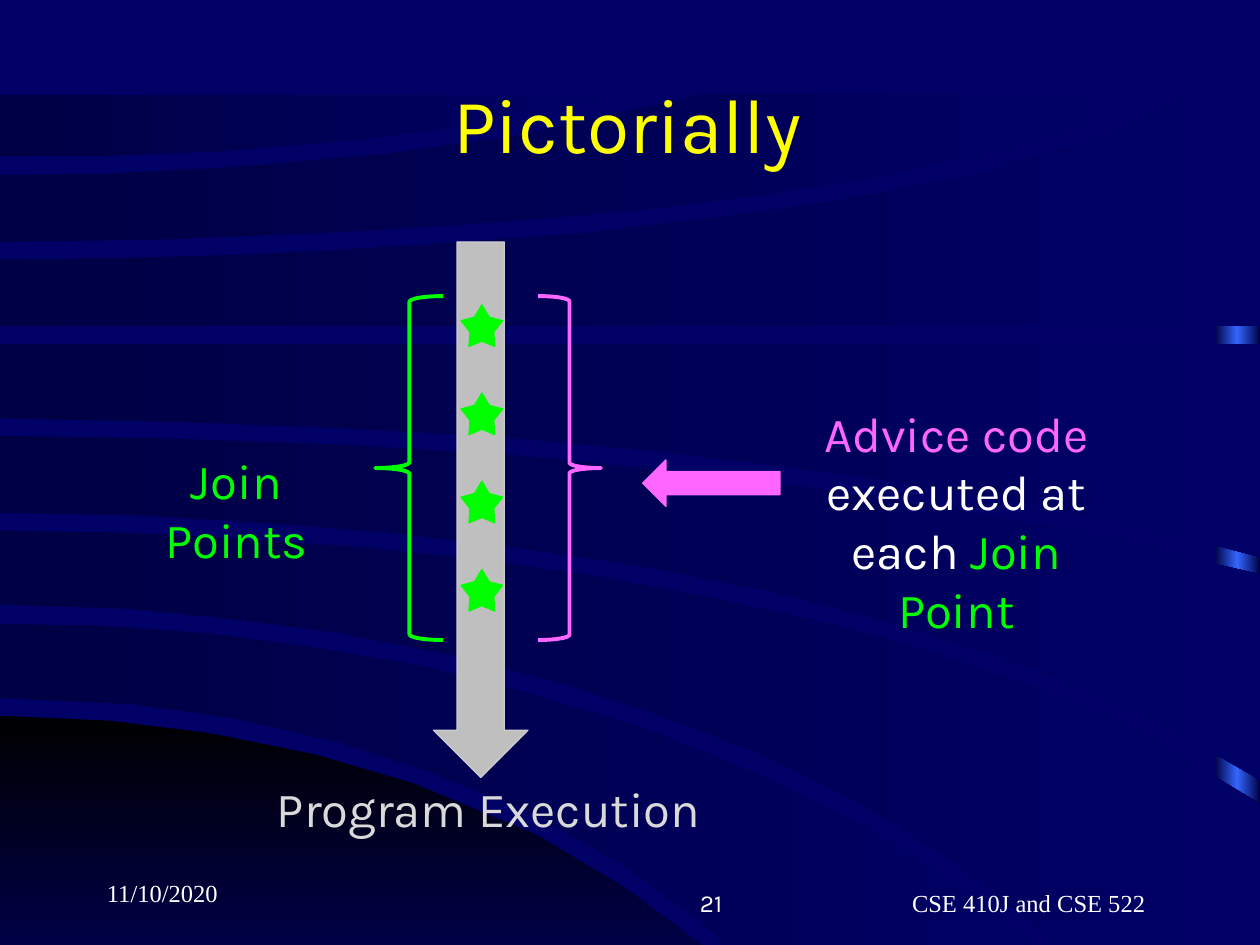
from copy import deepcopy
from dataclasses import dataclass

from pptx import Presentation
from pptx import util as u
from pptx.dml.color import RGBColor
from pptx.enum import shapes, text
from pptx.oxml.ns import qn

MSO = shapes.MSO_SHAPE
ALIGN = text.PP_ALIGN
ANCHOR = text.MSO_ANCHOR


@dataclass(frozen=True)
class Theme:
    back: str = "000066"
    band: str = "000044"
    glow: str = "3366FF"
    black: str = "000000"
    title: str = "FFFF00"
    white: str = "FFFFFF"
    join: str = "00FF00"
    advice: str = "FF66FF"
    flow: str = "BFBFBF"
    flow_edge: str = "CCCCD4"
    flow_label: str = "D9D9D9"
    font: str = "Karla"
    footer_font: str = "Times New Roman"
    title_size: int = 44
    label_size: int = 28
    footer_size: int = 14


T = Theme()

# Upper and lower edge of each background band, in inches.
BANDS = [
    ([(0, 4.95), (0.88, 4.97), (1.67, 5.03), (2.5, 5.14), (3.36, 5.29), (4.29, 5.53),
      (5.16, 5.8), (6.07, 6.17), (6.89, 6.58), (7.67, 7.07), (8.34, 7.62), (8.94, 8.25)],
     [(0, 5.54), (1.06, 5.59), (1.86, 5.7), (2.69, 5.89), (3.43, 6.13), (4.17, 6.43),
      (4.93, 6.85), (5.54, 7.29), (6.05, 7.78), (6.43, 8.25)]),
    ([(0, 4.21), (0.98, 4.23), (1.96, 4.28), (2.9, 4.35), (3.85, 4.45), (4.76, 4.58),
      (5.71, 4.76), (6.57, 4.95), (7.39, 5.17), (8.19, 5.45), (9.05, 5.81), (10, 6.38)],
     [(0, 4.8), (0.98, 4.83), (1.84, 4.91), (2.68, 5.02), (3.61, 5.2), (4.43, 5.41),
      (5.22, 5.67), (5.98, 5.96), (6.79, 6.35), (7.57, 6.83), (8.39, 7.47), (9.1, 8.25),
      (10, 8.25)]),
    ([(0, 3.46), (1.25, 3.48), (2.66, 3.53), (4.01, 3.61), (5.24, 3.73), (6.63, 3.9),
      (7.69, 4.07), (8.6, 4.23), (10, 4.56)],
     [(0, 4.07), (1.1, 4.09), (2.12, 4.15), (3.04, 4.22), (4.07, 4.34), (5.14, 4.5),
      (6.11, 4.69), (7.12, 4.95), (8.18, 5.29), (9.14, 5.69), (10, 6.19)]),
    ([(0, 2.73), (10, 2.73)],
     [(0, 3.32), (1.48, 3.35), (2.79, 3.4), (3.9, 3.46), (5.03, 3.56), (6.08, 3.68),
      (7.03, 3.81), (8.14, 3.99), (9.16, 4.2), (10, 4.42)]),
    ([(0, 2.06), (0.94, 2.05), (2.04, 2.02), (3.3, 1.95), (4.66, 1.85), (5.98, 1.69),
      (6.85, 1.56), (7.72, 1.39), (8.36, 1.21), (8.93, 1.03), (9.44, 0.75), (10, 0.75)],
     [(0, 2.59), (10, 2.59)]),
    ([(0, 1.39), (0.88, 1.38), (1.98, 1.32), (3.09, 1.22), (4.17, 1.07), (5.57, 0.75),
      (9.18, 0.75)],
     [(0, 1.92), (1.27, 1.9), (2.71, 1.84), (3.82, 1.77), (5.05, 1.67), (6.15, 1.53),
      (7.16, 1.36), (8.03, 1.16), (8.84, 0.91), (9.18, 0.75)]),
    ([(0, 0.75), (5.02, 0.75)],
     [(0, 1.24), (0.68, 1.24), (1.74, 1.2), (2.9, 1.1), (4.01, 0.95), (5.02, 0.75)]),
]
CORNER = [(0, 5.68), (0.87, 5.72), (1.66, 5.82), (2.5, 5.99), (3.28, 6.22), (4.26, 6.63),
          (4.96, 7.05), (5.54, 7.48), (5.97, 7.9), (6.29, 8.27)]


def rgb(value):
    return RGBColor.from_string(value)


def inches(*lengths):
    return [u.Inches(n) for n in lengths]


def shade(sp, colors, angle=0):
    """Fill a shape with evenly spaced gradient stops and no outline."""
    sp.shadow.inherit = False
    sp.line.fill.background()
    sp.fill.gradient()
    sp.fill.gradient_angle = angle
    stops = sp._element.spPr.find(qn("a:gradFill")).find(qn("a:gsLst"))
    for _ in colors[2:]:
        stops.append(deepcopy(stops[0]))
    for i, (stop, color) in enumerate(zip(sp.fill.gradient_stops, colors)):
        stop.position = i / (len(colors) - 1)
        stop.color.rgb = rgb(color)


def add_outline(parent, points):
    (x, y), *rest = [inches(*point) for point in points]
    builder = parent.shapes.build_freeform(x, y)
    builder.add_line_segments(rest, close=True)
    return builder.convert_to_shape()


def add_backdrop(slide):
    group = slide.shapes.add_group_shape()
    strip = group.shapes.add_shape(MSO.RECTANGLE, *inches(9.64, 0.77, 0.36, 6.73))
    shade(strip, [T.band, T.glow, T.band])
    shade(add_outline(group, CORNER + [(0, 8.27)]), [T.black, T.back], 270)
    for upper, lower in BANDS:
        shade(add_outline(group, upper + lower[::-1]), [T.band, T.back])
    slide.shapes._spTree.insert(2, group._element)


def write(tf, lines, color=T.white, size=T.label_size, font=T.font,
          align=ALIGN.LEFT, anchor=ANCHOR.TOP):
    """Write lines, each a list of (text, color) runs or a plain string."""
    tf.word_wrap = True
    tf.auto_size = text.MSO_AUTO_SIZE.NONE
    tf.vertical_anchor = anchor
    for i, line in enumerate(lines):
        p = tf.add_paragraph() if i else tf.paragraphs[0]
        p.alignment = align
        for words, run_color in [(line, color)] if isinstance(line, str) else line:
            r = p.add_run()
            r.text = words
            r.font.name = font
            r.font.size = u.Pt(size)
            r.font.color.rgb = rgb(run_color)


def add_text(slide, box, lines, **fmt):
    write(slide.shapes.add_textbox(*inches(*box)).text_frame, lines, **fmt)


def add_figure(slide, kind, box, fill=None, line=None, width=0.75):
    sp = slide.shapes.add_shape(kind, *inches(*box))
    sp.shadow.inherit = False
    if fill:
        sp.fill.solid()
        sp.fill.fore_color.rgb = rgb(fill)
    else:
        sp.fill.background()
    sp.line.color.rgb = rgb(line or fill)
    sp.line.width = u.Pt(width)
    return sp


def add_title(slide, box, words):
    title = slide.shapes.title
    title.left, title.top, title.width, title.height = inches(*box)
    write(title.text_frame, [words], color=T.title, size=T.title_size,
          align=ALIGN.CENTER, anchor=ANCHOR.MIDDLE)


def add_footer(slide, left, top):
    fmt = dict(size=T.footer_size, anchor=ANCHOR.BOTTOM)
    add_text(slide, (left, top, 2.08, 0.5), ["11/10/2020"], font=T.footer_font, **fmt)
    add_text(slide, (left + 5.83, top + 0.08, 3.17, 0.5), ["CSE 410J and CSE 522"],
             font=T.footer_font, align=ALIGN.CENTER, **fmt)
    add_text(slide, (left + 3, top + 0.08, 2.08, 0.5), ["21"], align=ALIGN.RIGHT, **fmt)


def add_execution(slide, left, top):
    """Draw the program flow with its join points."""
    add_figure(slide, MSO.DOWN_ARROW, (left, top, 0.75, 4.25), T.flow, T.flow_edge)
    for i in range(4):
        star = add_figure(slide, MSO.STAR_5_POINT,
                          (left + 0.22, top + 0.5 + 0.7 * i, 0.33, 0.33), T.join)
        star.adjustments[0] = 0.287
    add_text(slide, (left - 1.34, top + 4.21, 3.83, 0.57), ["Program Execution"],
             color=T.flow_label)


def add_join_points(slide, left, top):
    add_figure(slide, MSO.LEFT_BRACE, (left + 2.13, top, 0.54, 2.73), line=T.join, width=2.25)
    add_text(slide, (left, top + 1.18, 2.05, 1.04), ["Join Points"], color=T.join,
             align=ALIGN.CENTER)


def add_advice(slide, left, top):
    add_figure(slide, MSO.RIGHT_BRACE, (left, top, 0.5, 2.73), line=T.advice, width=2.25)
    add_figure(slide, MSO.LEFT_ARROW, (left + 0.83, top + 1.3, 1.09, 0.37), T.advice)
    add_text(slide, (left + 1.91, top + 0.8, 2.82, 1.97),
             [[("Advice code", T.advice)], "executed at",
              [("each ", T.white), ("Join Point", T.join)]], align=ALIGN.CENTER)


def main():
    prs = Presentation()
    prs.slide_width, prs.slide_height = inches(10, 7.5)
    s = prs.slides.add_slide(prs.slide_layouts[5])
    s.background.fill.solid()
    s.background.fill.fore_color.rgb = rgb(T.back)
    add_backdrop(s)
    add_title(s, (0.73, 0.35, 8.5, 1.25), "Pictorially")
    add_footer(s, 0.75, 6.75)
    add_execution(s, 3.44, 1.92)
    add_advice(s, 4.27, 2.35)
    add_join_points(s, 0.85, 2.35)
    prs.save("out.pptx")


if __name__ == "__main__":
    main()
